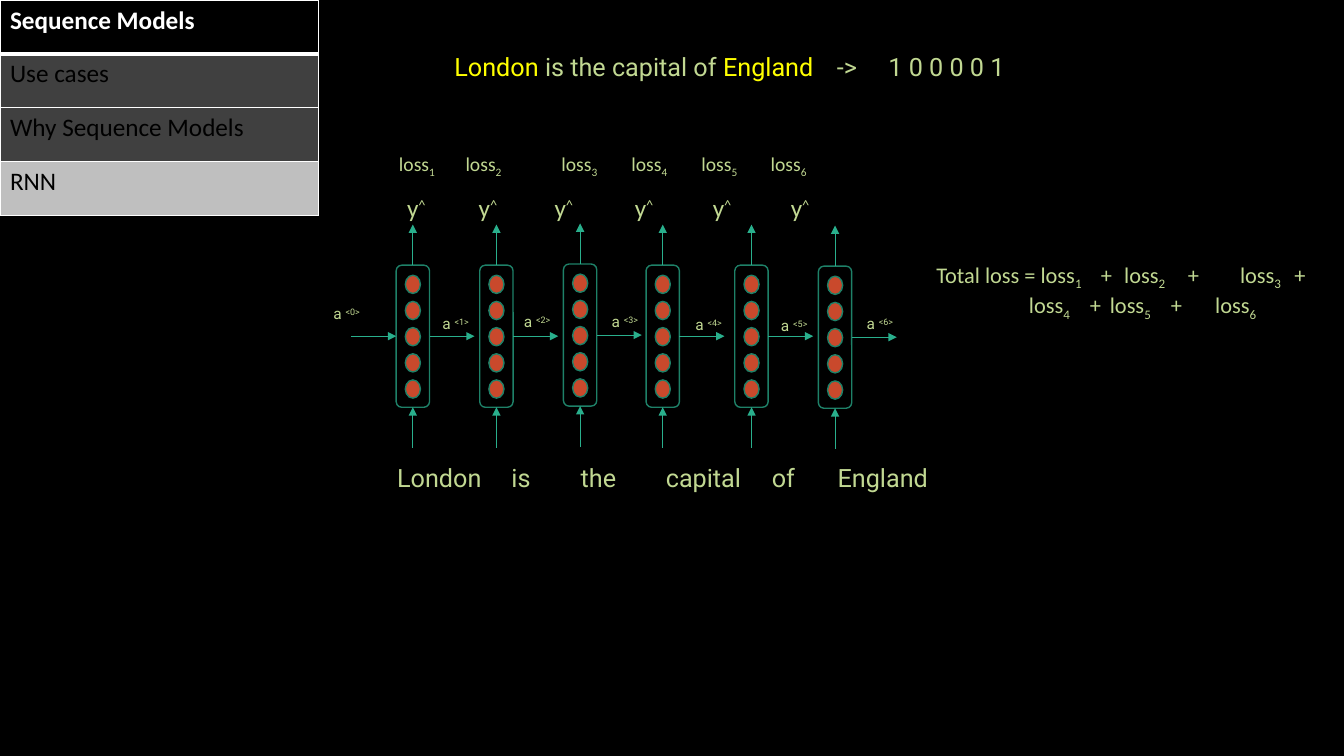
from dataclasses import dataclass

from lxml import etree
from pptx import Presentation
from pptx.dml.color import RGBColor
from pptx.enum import shapes, text
from pptx.oxml import ns
from pptx.util import Pt


@dataclass(frozen=True)
class Theme:
    background: str = "000000"
    light: str = "FFFFFF"
    dark: str = "000000"
    row_done: str = "404040"
    row_current: str = "BFBFBF"
    label: str = "C1D892"
    entity: str = "FFFF00"
    cell_line: str = "1E8168"
    unit: str = "C9492C"
    arrow: str = "29AF8C"
    large: float = 18
    formula: float = 16
    loss: float = 14
    state: float = 11
    body_font: str = "Calibri"
    sentence_font: str = "Roboto"


THEME = Theme()
SUPER, SUB = 30000, -25000

# Left and top of each recurrent cell
CELLS = [(283, 189.4), (342.7, 189.4), (402.5, 188.6),
         (461.5, 189.4), (524.9, 189.4), (584.6, 190.1)]
CELL_WIDTH, CELL_HEIGHT = 23.8, 101.5
UNITS, UNIT_WIDTH, UNIT_HEIGHT, UNIT_TOP, UNIT_STEP = 5, 10.8, 13, 7.2, 18.7
ARROW_UP, ARROW_ACROSS = 29, 32.2

# Left and top of each hidden state label
STATES = [(231.1, 213.8), (308.9, 221), (367.2, 219.6), (429.8, 219.6),
          (489.6, 221.8), (550.8, 222.5), (612, 221)]


def assign(target, values):
    for name, value in values.items():
        setattr(target, name, value)


def color(value):
    return RGBColor.from_string(value)


def add_run(paragraph, content, size, font, tint=THEME.label, baseline=0, bold=False):
    run = paragraph.add_run()
    run.text = content
    assign(run.font, {"size": Pt(size), "name": font, "bold": bold})
    run.font.color.rgb = color(tint)
    if baseline:
        run.font._element.set("baseline", str(baseline))


def add_tab_stops(paragraph, stops):
    tab_list = etree.SubElement(paragraph._p.get_or_add_pPr(), ns.qn("a:tabLst"))
    for stop in stops:
        etree.SubElement(tab_list, ns.qn("a:tab"), pos=str(int(Pt(stop))), algn="l")


def add_text(slide, box, lines, size, font):
    """Each line is a pair: tab stops, and runs of (content, options)."""
    frame = slide.shapes.add_textbox(*map(Pt, box)).text_frame
    assign(frame, {"word_wrap": True, "auto_size": text.MSO_AUTO_SIZE.SHAPE_TO_FIT_TEXT})
    for index, (stops, runs) in enumerate(lines):
        paragraph = frame.add_paragraph() if index else frame.paragraphs[0]
        if stops:
            add_tab_stops(paragraph, stops)
        for content, options in runs:
            add_run(paragraph, content, size, font, **options)


def indexed(base, index, baseline):
    return [(base, {}), (str(index), {"baseline": baseline})]


def loss_terms(parts):
    """Turn a number into a loss with its subscript, and keep plain text."""
    runs = []
    for part in parts:
        runs += indexed("loss", part, SUB) if isinstance(part, int) else [(part, {})]
    return runs


def add_shape(parent, kind, box, fill=None):
    shape = parent.shapes.add_shape(kind, *map(Pt, box))
    shape.shadow.inherit = False
    if fill:
        shape.fill.solid()
        shape.fill.fore_color.rgb = color(fill)
    else:
        shape.fill.background()
    shape.line.color.rgb = color(THEME.cell_line)
    shape.line.width = Pt(1)
    return shape


def add_cell(slide, left, top):
    group = slide.shapes.add_group_shape()
    frame = add_shape(group, shapes.MSO_SHAPE.ROUNDED_RECTANGLE,
                      (left, top, CELL_WIDTH, CELL_HEIGHT))
    unit_left = left + (CELL_WIDTH - UNIT_WIDTH) / 2
    for index in range(UNITS):
        unit_top = top + UNIT_TOP + index * UNIT_STEP
        add_shape(group, shapes.MSO_SHAPE.OVAL,
                  (unit_left, unit_top, UNIT_WIDTH, UNIT_HEIGHT), THEME.unit)
    return frame


def add_arrow(slide, start, end, begin=None, finish=None):
    """begin and finish are pairs: shape, and side number."""
    arrow = slide.shapes.add_connector(
        shapes.MSO_CONNECTOR.STRAIGHT, *map(Pt, start + end))
    arrow.line.color.rgb = color(THEME.arrow)
    arrow.line.width = Pt(0.5)
    etree.SubElement(arrow.line._get_or_add_ln(), ns.qn("a:tailEnd"), type="triangle")
    etree.SubElement(arrow._element.spPr, ns.qn("a:effectLst"))
    if begin:
        arrow.begin_connect(*begin)
    if finish:
        arrow.end_connect(*finish)


def add_border(cell, position, side, width):
    line = etree.Element(ns.qn(f"a:ln{side}"), w=str(int(Pt(width))))
    fill = etree.SubElement(line, ns.qn("a:solidFill"))
    etree.SubElement(fill, ns.qn("a:srgbClr"), val=THEME.light)
    cell._tc.get_or_add_tcPr().insert(position, line)


def add_agenda(slide):
    rows = [("Sequence Models", THEME.dark, THEME.light),
            ("Use cases", THEME.row_done, THEME.dark),
            ("Why Sequence Models", THEME.row_done, THEME.dark),
            ("RNN", THEME.row_current, THEME.dark)]
    table = slide.shapes.add_table(len(rows), 1, 0, 0, Pt(227.5), Pt(154)).table
    assign(table, {"first_row": False, "horz_banding": False})
    for index, (label, fill, tint) in enumerate(rows):
        cell = table.cell(index, 0)
        cell.fill.solid()
        cell.fill.fore_color.rgb = color(fill)
        add_run(cell.text_frame.paragraphs[0], label, THEME.large, THEME.body_font,
                tint, bold=index == 0)
        widths = {"L": 1, "R": 1, "T": 3 if index == 1 else 1, "B": 3 if index == 0 else 1}
        for position, (side, width) in enumerate(widths.items()):
            add_border(cell, position, side, width)


def add_network(slide):
    for index, (left, top) in enumerate(CELLS):
        cell = add_cell(slide, left, top)
        center, middle = left + CELL_WIDTH / 2, top + CELL_HEIGHT / 2
        right, bottom = left + CELL_WIDTH, top + CELL_HEIGHT
        add_arrow(slide, (center, bottom + ARROW_UP), (center, bottom), finish=(cell, 2))
        add_arrow(slide, (center, top), (center, top - ARROW_UP), begin=(cell, 0))
        add_arrow(slide, (right, middle), (right + ARROW_ACROSS, middle), begin=(cell, 3))
        if index == 0:
            add_arrow(slide, (left - ARROW_ACROSS, middle), (left, middle), finish=(cell, 1))
    for index, (left, top) in enumerate(STATES):
        add_text(slide, (left, top, 42, 21), [([], indexed("a ", f"<{index}>", SUPER))],
                 THEME.state, THEME.sentence_font)


def add_outputs(slide):
    predictions, losses = [], []
    for index in range(len(CELLS)):
        tab = "\t" if index else ""
        predictions += indexed(tab + "y", "^", SUPER)
        losses += indexed(tab + "loss", index + 1, SUB)
    add_text(slide, (283.7, 133.9, 344, 29),
             [([51.2, 105.4, 162.7, 218.4, 274.1], predictions)],
             THEME.large, THEME.body_font)
    add_text(slide, (277.9, 105.1, 356.4, 24.5), [([47.5, 116, 166, 216, 265.5], losses)],
             THEME.loss, THEME.body_font)


def main():
    presentation = Presentation()
    assign(presentation, {"slide_width": Pt(960), "slide_height": Pt(540)})
    slide = presentation.slides.add_slide(presentation.slide_layouts[6])
    slide.background.fill.solid()
    slide.background.fill.fore_color.rgb = color(THEME.background)

    add_agenda(slide)

    # Labelled sentence and its words under the cells
    entity = {"tint": THEME.entity}
    add_text(slide, (317.5, 33.1, 527, 29),
             [([273.2, 310], [("London", entity), (" is the capital of ", {}),
                              ("England", entity), ("\t->\t1 0 0 0 0 1", {})])],
             THEME.large, THEME.sentence_font)
    add_text(slide, (272.2, 326.9, 553.7, 29),
             [([4.4, 86, 135.5, 196.3, 272, 319],
               [("\tLondon\tis\tthe\tcapital\tof\tEngland", {})])],
             THEME.large, THEME.sentence_font)

    add_network(slide)
    add_outputs(slide)

    # Sum of the losses
    add_text(slide, (661.7, 182.9, 356.4, 46),
             [([117.5, 134.2, 179.7, 217, 255.7],
               loss_terms(["Total loss = ", 1, "\t+\t", 2, "\t+\t", 3, "\t+"])),
              ([66.2, 109.7, 124, 167.5, 199.2],
               loss_terms(["\t", 4, "\t+\t", 5, "\t+\t", 6]))],
             THEME.formula, THEME.body_font)
    presentation.save("out.pptx")


if __name__ == "__main__":
    main()
